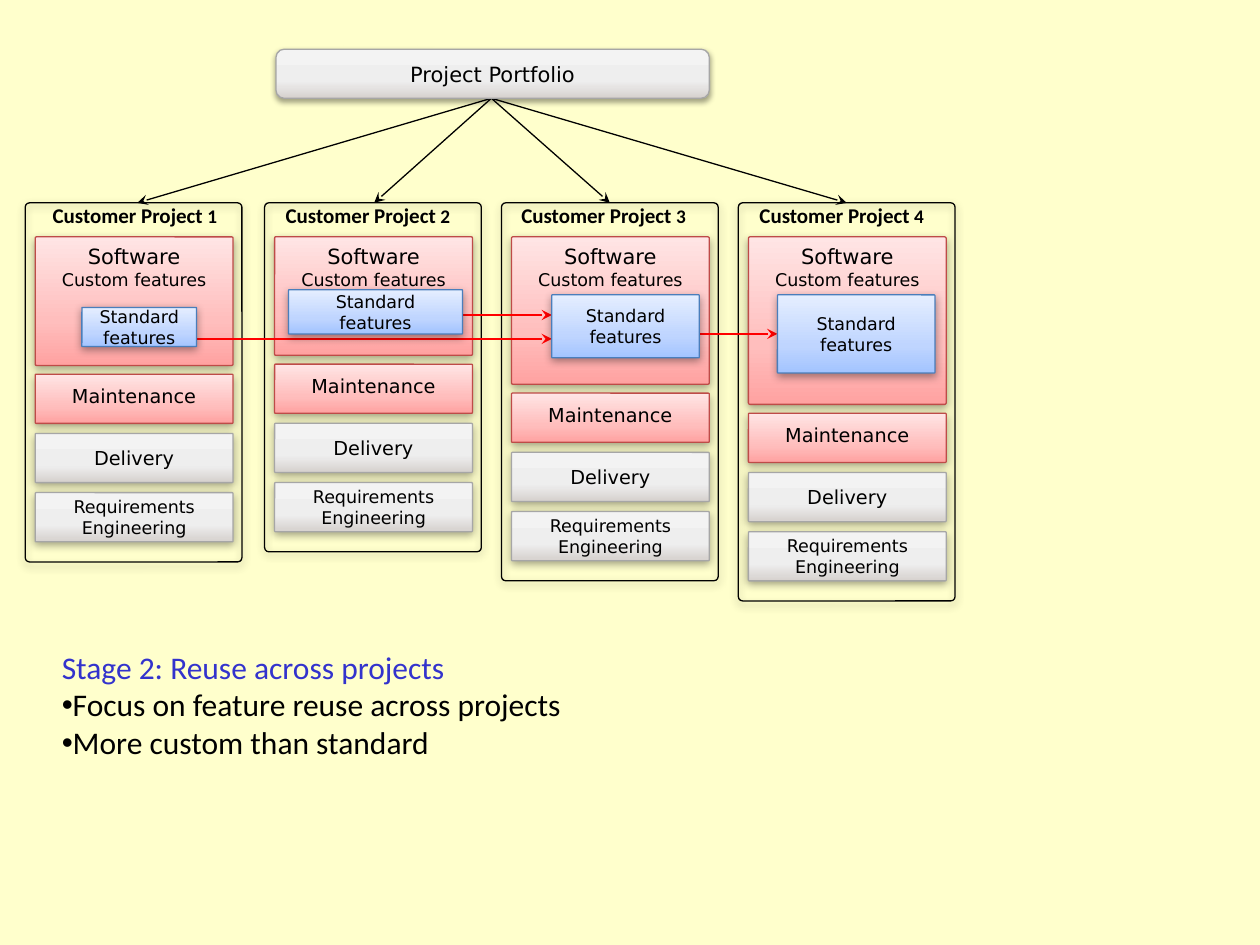
"""Build the slide on stage 2 of feature reuse across customer projects."""
import copy

import lxml.etree
import pptx
import pptx.dml.color
import pptx.enum.shapes
import pptx.enum.text
import pptx.oxml
import pptx.oxml.ns
import pptx.util

Inches = pptx.util.Inches
Pt = pptx.util.Pt
qn = pptx.oxml.ns.qn
CENTER = pptx.enum.text.PP_ALIGN.CENTER
TOP = pptx.enum.text.MSO_ANCHOR.TOP
MIDDLE = pptx.enum.text.MSO_ANCHOR.MIDDLE

RED = ("FFE5E5", "FFBEBD", "FFA2A1", "BE4B48")
GREY = ("F3F3F3", "EEEEEE", "D6D1CE", "A6A6A6")
BLUE = ("E5EEFF", "BFD5FF", "A3C4FF", "4A7EBB")
SANS = "DejaVu Sans"

deck = pptx.Presentation()
deck.slide_width, deck.slide_height = Inches(10), Inches(7.5)
slide = deck.slides.add_slide(deck.slide_layouts[1])
shapes = slide.shapes
fonts = []


def hue(code):
    return pptx.dml.color.RGBColor.from_string(code)


def box(spot, tone, lines=(), anchor=MIDDLE, round_=0.01, pad=(0.1, 0.05), blur=5):
    shape = shapes.add_shape(
        pptx.enum.shapes.MSO_SHAPE.ROUNDED_RECTANGLE, *map(Inches, spot))
    shape.adjustments[0] = round_
    shape.line.width = Pt(0.75)
    shape.line.color.rgb = hue(tone[-1])
    if len(tone) == 1:
        shape.fill.background()
    else:
        shape.fill.gradient()
        shape.fill.gradient_angle = 270
        stops = shape._element.spPr.find(qn("a:gradFill")).find(qn("a:gsLst"))
        stops.append(copy.deepcopy(stops[-1]))
        for stop, place, code in zip(shape.fill.gradient_stops, (0, 0.65, 1), tone):
            stop.position = place
            stop.color.rgb = hue(code)
    shape.shadow.inherit = False
    shape._element.spPr.find(qn("a:effectLst")).append(pptx.oxml.parse_xml(
        f'<a:outerShdw xmlns:a="{pptx.oxml.ns.nsdecls("a").split(chr(34))[1]}" '
        f'blurRad="{Pt(blur)}" dist="{Pt(1.6)}" dir="5400000" rotWithShape="0">'
        '<a:srgbClr val="000000"><a:alpha val="37000"/></a:srgbClr></a:outerShdw>'))
    frame = shape.text_frame
    side, top = map(Inches, pad)
    form = {"word_wrap": True, "vertical_anchor": anchor, "margin_left": side,
            "margin_right": side, "margin_top": top, "margin_bottom": Inches(0.05)}
    for key, value in form.items():
        setattr(frame, key, value)
    for row, (text, size) in enumerate(lines):
        para = frame.add_paragraph() if row else frame.paragraphs[0]
        para.alignment = CENTER
        run = para.add_run()
        run.text = text
        fonts.append((run.font, "000000", {"name": SANS, "size": Pt(size)}))


back = slide.background.fill
back.solid()
back.fore_color.rgb = hue("FFFFCC")

shapes.title._element.getparent().remove(shapes.title._element)
body = slide.placeholders[1]
place = {"left": 0.39, "top": 5.09, "width": 7.34, "height": 1.01}
for key, value in place.items():
    setattr(body, key, Inches(value))
body.text_frame.auto_size = pptx.enum.text.MSO_AUTO_SIZE.NONE
points = [
    ("Stage 2: Reuse across projects", "3333CC", False),
    ("Focus on feature reuse across projects", "000000", True),
    ("More custom than standard", "000000", True),
]
for row, (text, code, dot) in enumerate(points):
    para = body.text_frame.add_paragraph() if row else body.text_frame.paragraphs[0]
    props = para._p.get_or_add_pPr()
    props.set("marL", "0")
    props.set("indent", "0")
    if dot:
        tint = lxml.etree.SubElement(props, qn("a:buClr"))
        lxml.etree.SubElement(tint, qn("a:srgbClr"), val="000000")
        lxml.etree.SubElement(props, qn("a:buChar"), char="•")
    else:
        lxml.etree.SubElement(props, qn("a:buNone"))
    para.space_before = Pt(0)
    run = para.add_run()
    run.text = text
    fonts.append((run.font, code, {"name": "Calibri", "size": Pt(18)}))

columns = [(0.2, 1.02, 0.31), (2.1, 0.94, 2.16), (3.98, 1.17, 4.03), (5.86, 1.33, 5.92)]
for count, (left, tall, label) in enumerate(columns, 1):
    inner = left + 0.08
    base = 1.88 + tall + 0.07
    box((inner, 1.88, 1.57, tall), RED,
        [("Software", 12), ("Custom features", 10)], TOP)
    box((left, 1.61, 1.72, tall + 1.83), ("000000",), round_=0.02)
    box((inner, base, 1.57, 0.39), RED, [("Maintenance", 11)], TOP, 0.02, (0.1, 0.08))
    box((inner, base + 0.47, 1.57, 0.39), GREY, [("Delivery", 11)], round_=0.02)
    box((inner, base + 0.94, 1.57, 0.39), GREY,
        [("Requirements Engineering", 10)], round_=0.02, pad=(0, 0.05))
    head = shapes.add_textbox(*map(Inches, (label, 1.56, 1.52, 0.3))).text_frame
    head.word_wrap = True
    para = head.paragraphs[0]
    para.alignment = CENTER
    for text, size in (("Customer Project", 12), (f" {count}", 11)):
        run = para.add_run()
        run.text = text
        fonts.append((run.font, "000000",
                      {"name": "Calibri", "size": Pt(size), "bold": True}))

arrows = [(3.9, 0.78, end, 1.61, "000000") for end in (1.09, 2.97, 4.84, 6.72)]
arrows += [
    (1.56, 2.69, 4.38, 2.69, "FF0000"),
    (3.36, 2.5, 4.38, 2.5, "FF0000"),
    (5.55, 2.65, 6.17, 2.65, "FF0000"),
]
for *ends, code in arrows:
    line = shapes.add_connector(
        pptx.enum.shapes.MSO_CONNECTOR.STRAIGHT, *map(Inches, ends))
    line.line.width = Pt(0.75)
    line.line.color.rgb = hue(code)
    lxml.etree.SubElement(line.line._get_or_add_ln(), qn("a:tailEnd"), type="stealth")
    lxml.etree.SubElement(line._element.spPr, qn("a:effectLst"))

blocks = [(0.65, 2.44, 0.91, 0.31), (2.29, 2.3, 1.38, 0.35),
          (4.38, 2.34, 1.17, 0.5), (6.17, 2.34, 1.25, 0.62)]
for spot in blocks:
    box(spot, BLUE, [("Standard features", 10)])
box((2.19, 0.39, 3.44, 0.39), GREY, [("Project Portfolio", 12)], round_=0.17, blur=3.1)

for font, code, form in fonts:
    for key, value in form.items():
        setattr(font, key, value)
    font.color.rgb = hue(code)

deck.save("out.pptx")
